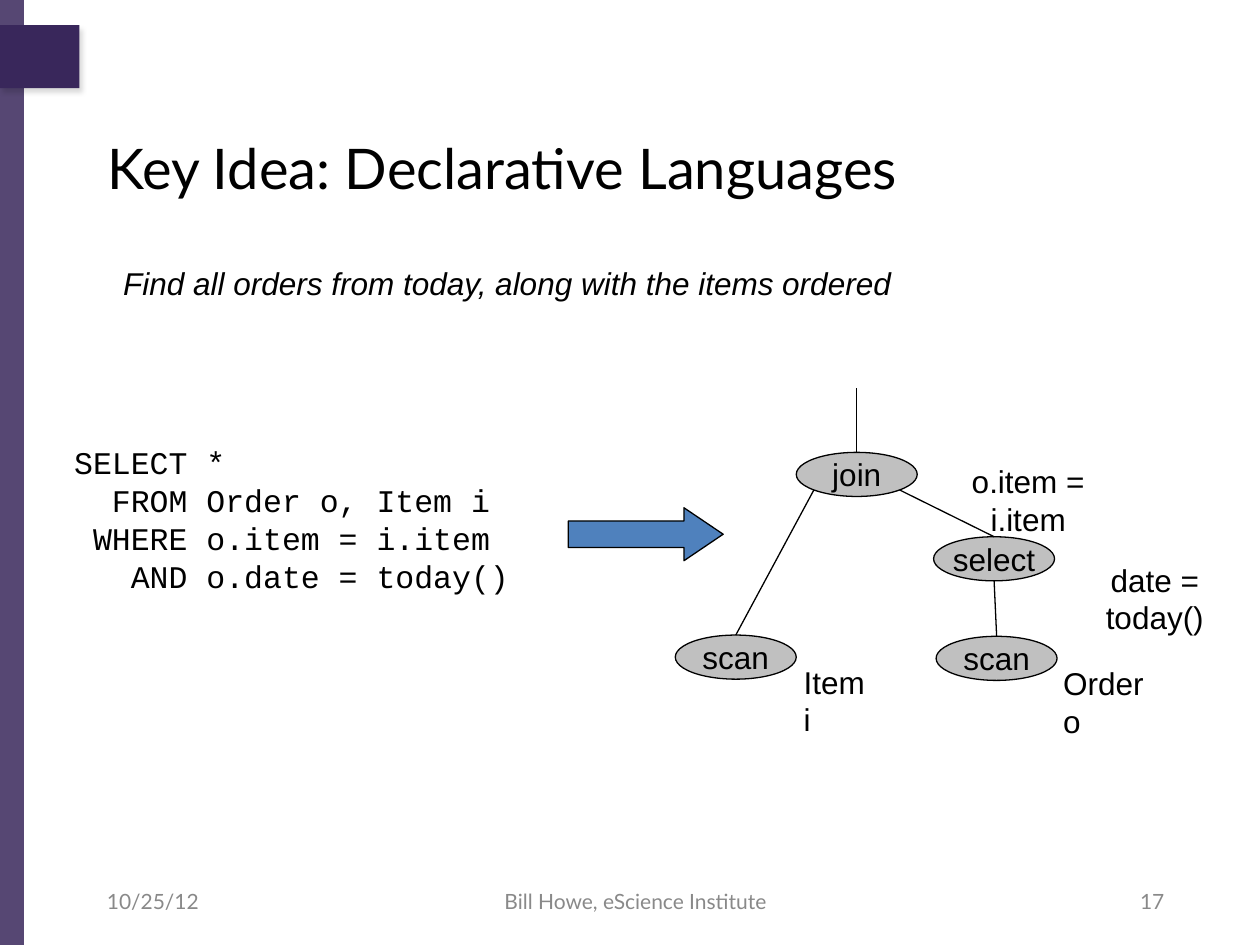
from dataclasses import dataclass
from lxml.etree import SubElement
from pptx import Presentation
from pptx.dml.color import RGBColor
from pptx.enum.shapes import MSO_CONNECTOR, MSO_SHAPE
from pptx.enum.text import MSO_ANCHOR, MSO_AUTO_SIZE, PP_ALIGN
from pptx.oxml.ns import qn
from pptx.util import Inches, Pt

LEFT, CENTER, RIGHT = PP_ALIGN.LEFT, PP_ALIGN.CENTER, PP_ALIGN.RIGHT
# Connection sites of an ellipse, and their offsets from its centre in radii
TOP, LOWER_LEFT, BOTTOM, LOWER_RIGHT = 0, 3, 4, 5
SITES = {TOP: (0, -1), LOWER_LEFT: (-0.71, 0.71), BOTTOM: (0, 1), LOWER_RIGHT: (0.71, 0.71)}


@dataclass(frozen=True)
class Theme:
    purple: str = "39275B"
    node: str = "C0C0C0"
    arrow: str = "4F81BD"
    ink: str = "000000"
    muted: str = "898989"
    head: str = "Lato"
    body: str = "Arial"
    code: str = "Courier New"
    title_size: int = 32
    body_size: int = 18
    footer_size: int = 12
    line: float = 0.75


class Deck:
    """Places elements on a grid of 100 columns by 75 rows."""

    def __init__(self, theme):
        self.t = theme
        self.prs = prs = Presentation()
        prs.slide_width, prs.slide_height = Inches(10), Inches(7.5)
        self.s = prs.slides.add_slide(prs.slide_layouts[5])

    def pos(self, col, row):
        return int(self.prs.slide_width * col / 100), int(self.prs.slide_height * row / 75)

    def box(self, col, row, cols, rows):
        return *self.pos(col, row), *self.pos(cols, rows)

    def fill_text(self, sp, text, align=LEFT, anchor=MSO_ANCHOR.TOP, wrap=True, color=None, **font):
        tf = sp.text_frame
        tf.word_wrap, tf.vertical_anchor = wrap, anchor
        style = {"name": self.t.body, "size": self.t.body_size} | font
        style["size"] = Pt(style["size"])
        for i, line in enumerate(text.split("\n")):
            p = tf.add_paragraph() if i else tf.paragraphs[0]
            p.alignment = align
            r = p.add_run()
            r.text = line
            for name, value in style.items():
                setattr(r.font, name, value)
            r.font.color.rgb = RGBColor.from_string(color or self.t.ink)

    def title(self, text, *at):
        sp = self.s.shapes.title
        sp.left, sp.top, sp.width, sp.height = self.box(*at)
        self.fill_text(sp, text, anchor=MSO_ANCHOR.MIDDLE, name=self.t.head,
                       size=self.t.title_size)

    def text(self, text, *at, grow=True, **style):
        sp = self.s.shapes.add_textbox(*self.box(*at))
        self.fill_text(sp, text, **style)
        sp.text_frame.auto_size = MSO_AUTO_SIZE.SHAPE_TO_FIT_TEXT if grow else MSO_AUTO_SIZE.NONE

    def footer(self, text, col, cols, align):
        self.text(text, col, 69.5, cols, 4, grow=False, align=align, anchor=MSO_ANCHOR.MIDDLE,
                  name=self.t.head, size=self.t.footer_size, color=self.t.muted)

    def shape(self, kind, fill, *at, outline=True):
        sp = self.s.shapes.add_shape(kind, *self.box(*at))
        sp.shadow.inherit = False
        sp.fill.solid()
        sp.fill.fore_color.rgb = RGBColor.from_string(fill)
        if outline:
            self.stroke(sp)
        else:
            sp.line.fill.background()
        return sp

    def stroke(self, sp):
        sp.line.color.rgb = RGBColor.from_string(self.t.ink)
        sp.line.width = Pt(self.t.line)

    def node(self, text, col, row):
        sp = self.shape(MSO_SHAPE.OVAL, self.t.node, col, row, 9.6, 3.5)
        self.fill_text(sp, text, align=CENTER, anchor=MSO_ANCHOR.MIDDLE, wrap=False)
        return sp

    def edge(self, start, site, end=None, to=(0, 0)):
        """Line from a site of one node to the top of another, or to a free point."""
        c = self.s.shapes.add_connector(MSO_CONNECTOR.STRAIGHT, 0, 0, *self.pos(*to))
        # begin_connect knows four sites; an ellipse has eight
        c.begin_connect(start, 0)
        c._element.nvCxnSpPr.cNvCxnSpPr.stCxn.idx = site
        dx, dy = SITES[site]
        c.begin_x = int(start.left + start.width * (1 + dx) / 2)
        c.begin_y = int(start.top + start.height * (1 + dy) / 2)
        if end is not None:
            c.end_connect(end, TOP)
        self.stroke(c)
        SubElement(c._element.spPr, qn("a:effectLst"))

    def alpha(self, color, percent):
        SubElement(color, qn("a:alpha"), val=str(percent * 1000))

    def band(self, *at, opacity=100, shadow=False):
        sp = self.shape(MSO_SHAPE.RECTANGLE, self.t.purple, *at, outline=False)
        spPr = sp._element.spPr
        if opacity < 100:
            self.alpha(spPr.find(qn("a:solidFill"))[0], opacity)
        if shadow:
            shade = SubElement(spPr.find(qn("a:effectLst")), qn("a:outerShdw"),
                               blurRad=str(Pt(3)), dist=str(Pt(3)), dir=str(60 * 60000))
            self.alpha(SubElement(shade, qn("a:srgbClr"), val=self.t.ink), 15)


def main():
    t = Theme()
    d = Deck(t)

    # Side band and tab
    d.band(0, 0, 1.9, 75, opacity=85)
    d.band(0, 2, 6.3, 5, shadow=True)

    # Footer
    d.footer("10/25/12", 7.5, 23.3, LEFT)
    d.footer("Bill Howe, eScience Institute", 34.6, 31.7, CENTER)
    d.footer("17", 70.1, 23.3, RIGHT)

    # Title, question and query
    d.title("Key Idea: Declarative Languages", 7.5, 8.3, 85.9, 10)
    d.text("Find all orders from today, along with the items ordered",
           8.8, 20.5, 83.6, 5, italic=True)
    d.text("SELECT *\n  FROM Order o, Item i\n WHERE o.item = i.item\n   AND o.date = today()",
           4.9, 34.7, 42.4, 13, name=t.code)

    # Arrow from query to plan
    arrow = d.shape(MSO_SHAPE.RIGHT_ARROW, t.arrow, 45.1, 40.3, 12.3, 4.2)
    arrow.adjustments[1] = 0.74

    # Plan tree
    join = d.node("join", 63.2, 35.9)
    select = d.node("select", 74.1, 42.6)
    scan_item = d.node("scan", 53.6, 50.4)
    scan_order = d.node("scan", 74.3, 50.5)
    d.edge(join, TOP, to=(68, 30.8))
    d.edge(join, LOWER_LEFT, scan_item)
    d.edge(join, LOWER_RIGHT, select)
    d.edge(select, BOTTOM, scan_order)

    # Labels beside the nodes
    for text, col, row, cols, align in (
            ("o.item = i.item", 73.2, 36.2, 16.8, CENTER),
            ("date = today()", 83.6, 44, 16.1, CENTER),
            ("Item i", 62.8, 52.1, 7.9, LEFT),
            ("Order o", 83.4, 52.2, 9.7, LEFT)):
        d.text(text, col, row, cols, 4, align=align)

    d.prs.save("out.pptx")


if __name__ == "__main__":
    main()
